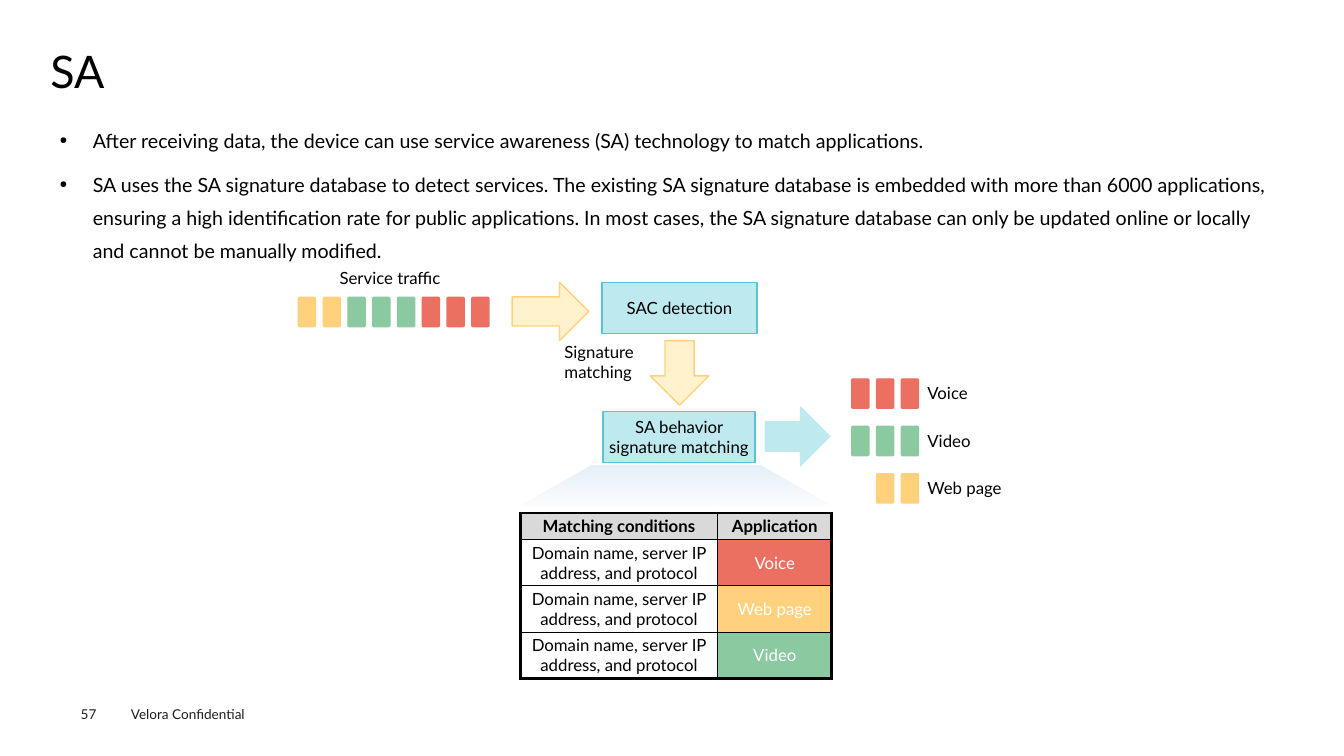
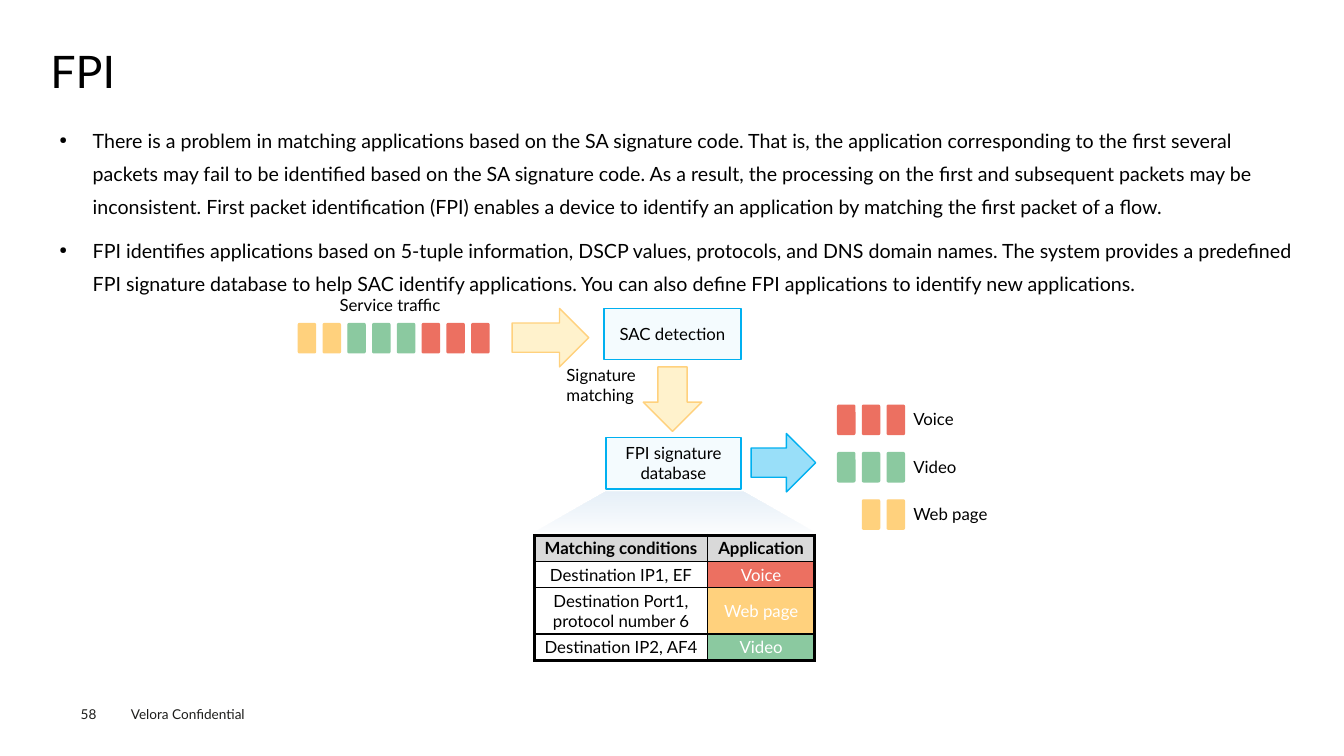
from dataclasses import dataclass

from lxml.etree import SubElement
from pptx import Presentation
from pptx.dml.color import RGBColor
from pptx.enum.shapes import MSO_SHAPE
from pptx.enum.text import MSO_ANCHOR, PP_ALIGN
from pptx.oxml.ns import qn
from pptx.util import Inches, Pt


@dataclass(frozen=True)
class Theme:
    font: str = "Lato"
    black: str = "000000"
    white: str = "FFFFFF"
    gray: str = "D9D9D9"
    foot: str = "1D1D1B"
    red: str = "EC7061"
    green: str = "8BC9A0"
    gold: str = "FFD17D"
    cream: str = "FFF2CC"
    pale: str = "F7FAFD"
    mist: str = "CEE1F2"
    head: float = 32
    body: float = 14
    label: float = 12
    small: float = 9.7
    thin: float = 1
    thick: float = 2.25


THEME = Theme()
KINDS = {"Voice": THEME.red, "Video": THEME.green, "Web page": THEME.gold}
STEP = 1.72 / 7
ARROW = 0.64


@dataclass(frozen=True)
class Flow:
    top: float
    first: tuple
    second: tuple
    name: str
    hint: tuple
    fill: str
    edge: str
    out: tuple
    left: float
    cols: tuple
    start: float
    rows: tuple
    highs: tuple


class Deck:
    def __init__(self, theme):
        self.theme = theme
        self.file = Presentation()
        self.file.slide_width = Inches(13.33)
        self.file.slide_height = Inches(7.5)
        self.slide = None

    def run(self, para, text, size, color=None, bold=False):
        run = para.add_run()
        run.text = text
        run.font.name = self.theme.font
        run.font.size = Pt(size)
        run.font.bold = bold
        run.font.color.rgb = RGBColor.from_string(color or self.theme.black)

    def frame(self, left, top, width, height, inset=(0.1, 0.05)):
        box = self.slide.shapes.add_textbox(
            Inches(left), Inches(top), Inches(width), Inches(height))
        frame = box.text_frame
        frame.word_wrap = True
        self.inset(frame, *inset)
        return frame

    def inset(self, item, wide, high):
        item.margin_left = item.margin_right = Inches(wide)
        item.margin_top = item.margin_bottom = Inches(high)

    def text(self, text, left, top, width, height, size=None, color=None, inset=(0.1, 0.05)):
        para = self.frame(left, top, width, height, inset).paragraphs[0]
        self.run(para, text, size or self.theme.label, color)
        return para

    def page(self, title, number):
        self.slide = self.file.slides.add_slide(self.file.slide_layouts[6])
        small, foot = self.theme.small, self.theme.foot
        self.text("Velora Confidential", 1.2, 6.95, 1.6, 0.27, small, foot)
        self.text(str(number), 0.8, 7, 0.55, 0.16, small, foot, (0, 0))
        para = self.text(title, 0.5, 0.49, 12.35, 0.54, self.theme.head, inset=(0, 0))
        para.line_spacing = 0.9

    def points(self, lines, width):
        frame = self.frame(0.5, 1.15, width, 5.33, (0.09, 0.04))
        for index, line in enumerate(lines):
            para = frame.add_paragraph() if index else frame.paragraphs[0]
            para.line_spacing = 1.4
            para.space_before = Pt(7.9)
            props = para._p.get_or_add_pPr()
            props.set("marL", str(Inches(0.33)))
            props.set("indent", str(Inches(-0.33)))
            SubElement(props, qn("a:buSzPct")).set("val", "50000")
            SubElement(props, qn("a:buChar")).set("char", "●")
            self.run(para, line, self.theme.body)

    def shape(self, kind, left, top, width, height, fill=None, edge=None):
        shape = self.slide.shapes.add_shape(
            kind, Inches(left), Inches(top), Inches(width), Inches(height))
        shape.shadow.inherit = False
        if fill:
            shape.fill.solid()
            shape.fill.fore_color.rgb = RGBColor.from_string(fill)
        if edge:
            shape.line.color.rgb = RGBColor.from_string(edge)
            shape.line.width = Pt(self.theme.thin)
        else:
            shape.line.fill.background()
        return shape

    def box(self, text, left, top, width, fill, edge):
        shape = self.shape(MSO_SHAPE.RECTANGLE, left, top, width, 0.51, fill, edge)
        frame = shape.text_frame
        frame.word_wrap = True
        frame.vertical_anchor = MSO_ANCHOR.MIDDLE
        self.inset(frame, 0, 0.05)
        para = frame.paragraphs[0]
        para.alignment = PP_ALIGN.CENTER
        self.run(para, text, self.theme.label)

    def arrow(self, left, top, width, fill, edge, turn=0):
        shape = self.shape(MSO_SHAPE.RIGHT_ARROW, left, top, width, 0.58, fill, edge)
        shape.rotation = turn

    def packets(self, right, top, colors):
        for index, color in enumerate(colors):
            shape = self.shape(MSO_SHAPE.ROUNDED_RECTANGLE, right - index * STEP, top,
                               0.17, 0.29, color, color)
            shape.adjustments[0] = 0.07

    def beam(self, left, top, width):
        shape = self.shape(MSO_SHAPE.TRAPEZOID, left, top, width, 0.4)
        shape.adjustments[0] = 1.76
        shape.fill.gradient()
        shape.fill.gradient_angle = 90
        for stop, color in zip(shape.fill.gradient_stops, (self.theme.pale, self.theme.mist)):
            stop.color.rgb = RGBColor.from_string(color)
        for tint in shape.element.iter(qn("a:srgbClr")):
            SubElement(tint, qn("a:alpha")).set("val", "50000")

    def border(self, cell, sides):
        props = cell._tc.get_or_add_tcPr()
        for side, outer in sides:
            line = SubElement(props, qn(f"a:ln{side}"))
            line.set("w", str(Pt(self.theme.thick if outer else self.theme.thin)))
            fill = SubElement(line, qn("a:solidFill"))
            SubElement(fill, qn("a:srgbClr")).set("val", self.theme.black)

    def cell(self, cell, text, fill=None, color=None, bold=False):
        self.inset(cell, 0.06, 0.03)
        cell.vertical_anchor = MSO_ANCHOR.MIDDLE
        if fill:
            cell.fill.solid()
            cell.fill.fore_color.rgb = RGBColor.from_string(fill)
        else:
            cell.fill.background()
        para = cell.text_frame.paragraphs[0]
        para.alignment = PP_ALIGN.CENTER
        self.run(para, text, self.theme.label, color, bold)

    def table(self, left, top, cols, highs, rows):
        data = (("Matching conditions", "Application"),) + rows
        table = self.slide.shapes.add_table(
            len(data), len(cols), Inches(left), Inches(top),
            Inches(sum(cols)), Inches(sum(highs))).table
        table.horz_banding = False
        for col, width in zip(table.columns, cols):
            col.width = Inches(width)
        for r, (row, high) in enumerate(zip(data, highs)):
            table.rows[r].height = Inches(high)
            for c, text in enumerate(row):
                cell = table.cell(r, c)
                self.border(cell, (("L", c == 0), ("R", c == len(cols) - 1),
                                   ("T", r == 0), ("B", r == len(data) - 1)))
                fill = KINDS.get(text)
                if r == 0:
                    self.cell(cell, text, self.theme.gray, bold=True)
                else:
                    self.cell(cell, text, fill, self.theme.white if fill else None)

    def flow(self, flow):
        look, top = self.theme, flow.top
        left, width = flow.first
        exit = sum(flow.second) + 0.1
        self.text("Service traffic", 3.27, top - 0.19, 1.24, 0.3)
        self.packets(4.68, top + 0.15, [look.red] * 3 + [look.green] * 3 + [look.gold] * 2)
        self.arrow(5.08, top, 0.76, look.cream, look.gold)
        self.box("SAC detection", left, top, width, flow.fill, flow.edge)
        self.arrow(left + (width - ARROW) / 2, top + 0.61, ARROW, look.cream, look.gold, 90)
        self.text("Signature matching", *flow.hint, 1.32, 0.5)
        self.box(flow.name, flow.second[0], top + 1.28, flow.second[1], flow.fill, flow.edge)
        self.arrow(exit, top + 1.24, ARROW, *flow.out)
        for index, ((kind, color), count) in enumerate(zip(KINDS.items(), (3, 3, 2))):
            high = top + 0.96 + index * 0.47
            self.packets(exit + 1.35, high, [color] * count)
            self.text(kind, exit + 1.51, high - 0.01, 1.2, 0.3)
        self.beam(flow.left, top + 1.82, sum(flow.cols))
        self.table(flow.left, flow.start, flow.cols, flow.highs, flow.rows)


def main():
    deck = Deck(THEME)

    deck.page("SA", 57)
    deck.points((
        "After receiving data, the device can use service awareness (SA) technology to match "
        "applications.",
        "SA uses the SA signature database to detect services. The existing SA signature database "
        "is embedded with more than 6000 applications, ensuring a high identification rate for "
        "public applications. In most cases, the SA signature database can only be updated online "
        "or locally and cannot be manually modified."), 12.35)
    domain = "Domain name, server IP address, and protocol"
    deck.flow(Flow(
        top=2.8, first=(5.97, 1.54), second=(5.98, 1.51),
        name="SA behavior signature matching", hint=(5.5, 3.34),
        fill="BEE9EE", edge="56C4D2", out=("BEE9EE", "BEE9EE"),
        left=5.16, cols=(1.96, 1.13), start=5.09,
        rows=tuple((domain, kind) for kind in ("Voice", "Web page", "Video")),
        highs=(0.26, 0.46, 0.46, 0.46)))

    deck.page("FPI", 58)
    deck.points((
        "There is a problem in matching applications based on the SA signature code. That is, the "
        "application corresponding to the first several packets may fail to be identified based on "
        "the SA signature code. As a result, the processing on the first and subsequent packets may "
        "be inconsistent. First packet identification (FPI) enables a device to identify an "
        "application by matching the first packet of a flow.",
        "FPI identifies applications based on 5-tuple information, DSCP values, protocols, and DNS "
        "domain names. The system provides a predefined FPI signature database to help SAC identify "
        "applications. You can also define FPI applications to identify new applications."), 12.46)
    deck.flow(Flow(
        top=3.06, first=(5.99, 1.36), second=(6.01, 1.34),
        name="FPI signature database", hint=(5.52, 3.57),
        fill="F4FBFE", edge="00B0F0", out=("99DFF9", "00B0F0"),
        left=5.3, cols=(1.72, 1.06), start=5.31,
        rows=(("Destination IP1, EF", "Voice"),
              ("Destination Port1, protocol number 6", "Web page"),
              ("Destination IP2, AF4", "Video")),
        highs=(0.26, 0.26, 0.46, 0.26)))

    deck.file.save("out.pptx")


if __name__ == "__main__":
    main()
